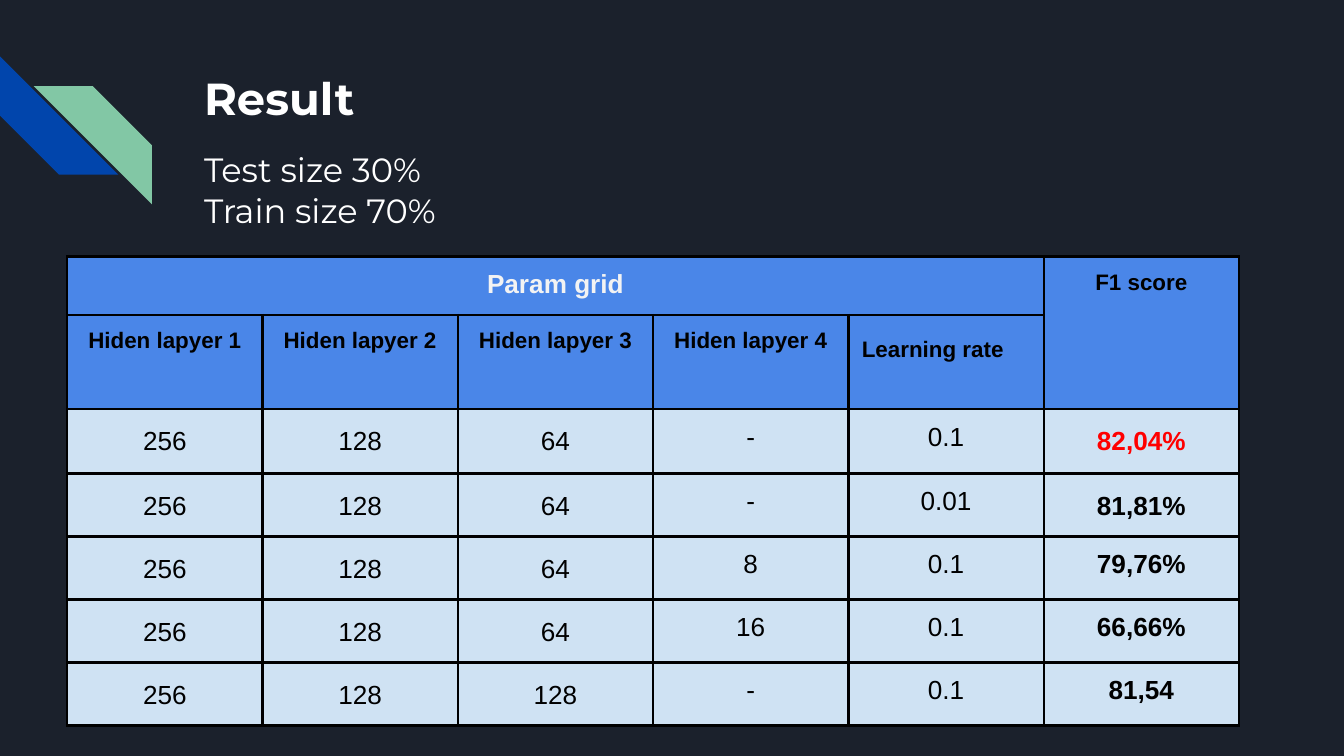
import pptx
import pptx.util
import pptx.dml.color
import pptx.enum.shapes
import pptx.enum.text
import pptx.oxml.ns
import lxml.etree

Inches, Pt = pptx.util.Inches, pptx.util.Pt
qn = pptx.oxml.ns.qn
ALIGN = pptx.enum.text.PP_ALIGN

# Content
COLORS = {
    "background": "1B212C", "blue": "0145AC", "green": "82C7A5",
    "white": "FFFFFF", "pale": "F3F3F3", "black": "000000", "best": "FF0000",
    "header": "4A86E8", "body": "CFE2F3",
}
HEADING = "Result"
SPLIT = ["Test size 30%", "Train size 70%"]
GROUPS = ["Param grid", "", "", "", "", "F1 score"]
PARAMS = ["Hiden lapyer 1", "Hiden lapyer 2", "Hiden lapyer 3",
          "Hiden lapyer 4", "Learning rate", ""]
RUNS = [
    ["256", "128", "64", "-", "0.1", "82,04%"],
    ["256", "128", "64", "-", "0.01", "81,81%"],
    ["256", "128", "64", "8", "0.1", "79,76%"],
    ["256", "128", "64", "16", "0.1", "66,66%"],
    ["256", "128", "128", "-", "0.1", "81,54"],
]
RATE, SCORE = 4, 5  # column numbers

# Grid
SLIDE_WIDTH = 10
SLIDE_HEIGHT = SLIDE_WIDTH * 9 / 16
TABLE_WIDTH = 8.72
COLUMN_WIDTH = TABLE_WIDTH / len(GROUPS)
ROW_HEIGHTS = [0.41, 0.7, 0.48] + [0.39] * 4
TEXT_LEFT = 1.42
STRIPE_SIZE = 0.88
INSET = 0.1


def rgb(name):
    return pptx.dml.color.RGBColor.from_string(COLORS[name])


def write(frame, lines, size=14, font="Arial", color="black", bold=False,
          align=ALIGN.CENTER, spacing=None):
    for i, line in enumerate(lines):
        paragraph = frame.add_paragraph() if i else frame.paragraphs[0]
        paragraph.alignment = align
        if spacing:
            paragraph.line_spacing = spacing
        run = paragraph.add_run()
        run.text = line
        run.font.size, run.font.name, run.font.bold = Pt(size), font, bold
        run.font.color.rgb = rgb(color)


def set_insets(part):
    part.margin_left = part.margin_right = Inches(INSET)
    part.margin_top = part.margin_bottom = Inches(INSET)


def add_text(slide, box, lines, **style):
    frame = slide.shapes.add_textbox(*map(Inches, box)).text_frame
    frame.word_wrap = True
    set_insets(frame)
    write(frame, lines, font="Montserrat", color="white", align=ALIGN.LEFT, **style)


def add_stripe(slide, left, top, color, rotation=0, flip=False):
    stripe = slide.shapes.add_shape(
        pptx.enum.shapes.MSO_SHAPE.DIAGONAL_STRIPE,
        Inches(left), Inches(top), Inches(STRIPE_SIZE), Inches(STRIPE_SIZE))
    stripe.shadow.inherit = False
    stripe.fill.solid()
    stripe.fill.fore_color.rgb = rgb(color)
    stripe.line.fill.background()
    stripe.rotation = rotation
    if flip:
        stripe.element.spPr.find(qn("a:xfrm")).set("flipH", "1")


def format_cell(cell, fill):
    set_insets(cell)
    cell.fill.solid()
    cell.fill.fore_color.rgb = rgb(fill)
    properties = cell._tc.find(qn("a:tcPr"))
    for i, side in enumerate(("lnL", "lnR", "lnT", "lnB")):
        border = lxml.etree.Element(qn("a:" + side), w=str(int(Pt(1.5))))
        solid = lxml.etree.SubElement(border, qn("a:solidFill"))
        lxml.etree.SubElement(solid, qn("a:srgbClr"), val=COLORS["black"])
        properties.insert(i, border)


def cell_style(row, column):
    if row == 0 and column == 0:
        return dict(color="pale", bold=True)
    if row < 2:
        style = dict(size=12, bold=True)
        if column == RATE:
            style.update(align=ALIGN.LEFT, spacing=1.36)
        return style
    style = dict(bold=column == SCORE)
    if column < 3 or (column == SCORE and row < 4):
        style["spacing"] = 1.15
    if column == SCORE and row == 2:
        style["color"] = "best"
    return style


def main():
    deck = pptx.Presentation()
    deck.slide_width, deck.slide_height = Inches(SLIDE_WIDTH), Inches(SLIDE_HEIGHT)
    slide = deck.slides.add_slide(deck.slide_layouts[6])
    slide.background.fill.solid()
    slide.background.fill.fore_color.rgb = rgb("background")

    # Corner stripes
    add_stripe(slide, 0, 0.42, "blue", rotation=270)
    add_stripe(slide, 0.25, 0.64, "green", flip=True)

    # Heading and data split
    add_text(slide, (TEXT_LEFT, 0.43, 7.7, 1), [HEADING], size=24, bold=True)
    add_text(slide, (TEXT_LEFT, 1.01, 6.63, 0.77), SPLIT, size=18)

    # Results table
    rows = [GROUPS, PARAMS] + RUNS
    results = slide.shapes.add_table(
        len(rows), len(GROUPS), Inches(0.5), Inches(1.91),
        Inches(TABLE_WIDTH), Inches(sum(ROW_HEIGHTS))).table
    for column in results.columns:
        column.width = Inches(COLUMN_WIDTH)
    for row, height in zip(results.rows, ROW_HEIGHTS):
        row.height = Inches(height)
    results.cell(0, 0).merge(results.cell(0, RATE))
    results.cell(0, SCORE).merge(results.cell(1, SCORE))
    for r, values in enumerate(rows):
        for c, value in enumerate(values):
            cell = results.cell(r, c)
            format_cell(cell, "header" if r < 2 else "body")
            if value:
                write(cell.text_frame, [value], **cell_style(r, c))

    deck.save("out.pptx")


if __name__ == "__main__":
    main()
